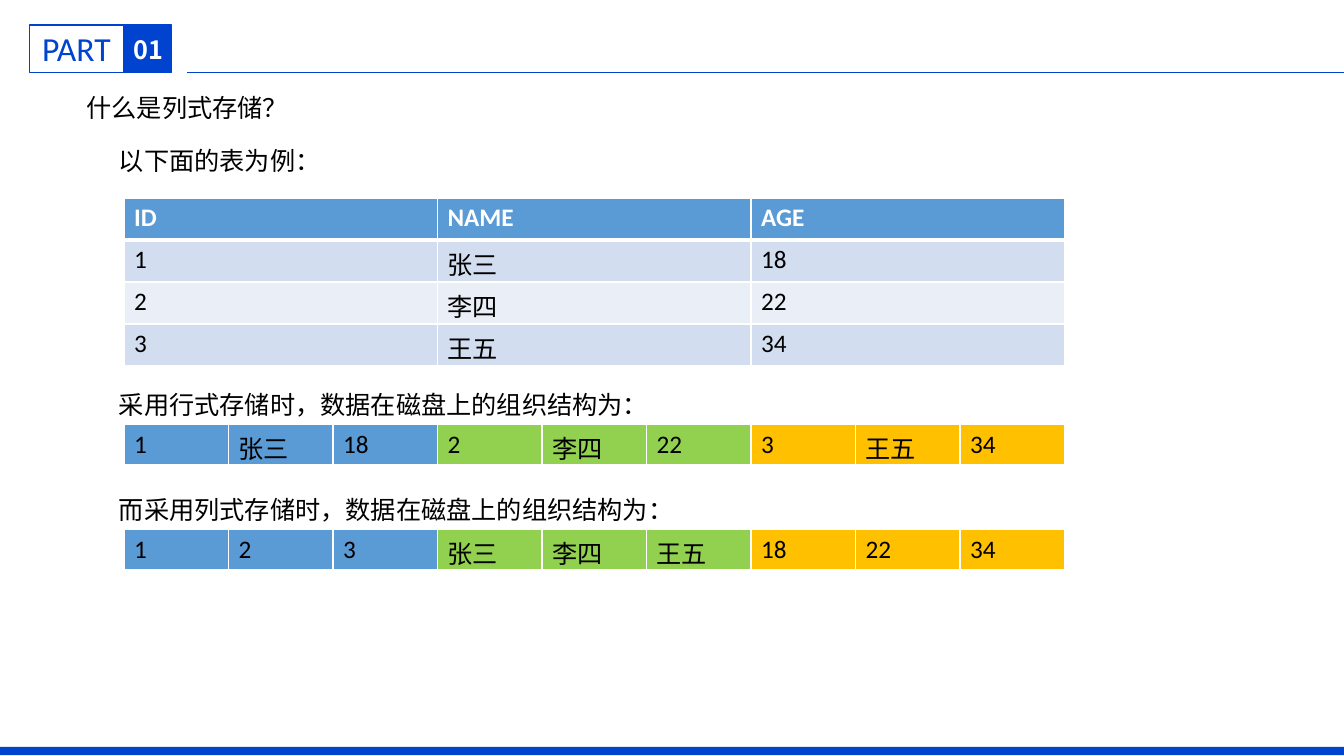
from dataclasses import dataclass
from itertools import chain

from lxml import etree
from pptx import Presentation
from pptx.dml.color import RGBColor
from pptx.enum.shapes import MSO_CONNECTOR, MSO_SHAPE
from pptx.enum.text import MSO_AUTO_SIZE
from pptx.oxml.ns import qn
from pptx.util import Pt

RECT = MSO_SHAPE.RECTANGLE
STRAIGHT = MSO_CONNECTOR.STRAIGHT
GROW = MSO_AUTO_SIZE.SHAPE_TO_FIT_TEXT

BLUE, WHITE, BLACK = "0043CF", "FFFFFF", "000000"
HEAD = "5B9BD5"
BANDS = ["D2DEEF", "EAEFF7"]
HUES = [HEAD, "92D050", "FFC000"]
WIDE, HIGH = 960, 540
LEFT, SPAN, ROW = 88.6, 671.8, 30


@dataclass
class Box:
    x: float
    y: float
    w: float
    h: float
    fill: str | None = None
    line: str | None = None


@dataclass
class Label:
    text: str
    x: float
    y: float
    w: float
    h: float = 28.8
    size: float = 18
    color: str = BLACK
    font: str = "Calibri"
    bold: bool = False
    wrap: bool = True


@dataclass
class Cell:
    text: str
    fill: str
    color: str = BLACK
    bold: bool = False
    base: float = 1


def rgb(code: str) -> RGBColor:
    return RGBColor.from_string(code)


def style(frame, size: float, color: str, font: str, bold: bool) -> None:
    for run in frame.paragraphs[0].runs:
        run.font.size = Pt(size)
        run.font.name = font
        run.font.bold = bold
        run.font.color.rgb = rgb(color)


def draw_box(slide, box: Box) -> None:
    shape = slide.shapes.add_shape(RECT, Pt(box.x), Pt(box.y), Pt(box.w), Pt(box.h))
    shape.shadow.inherit = False
    if box.fill:
        shape.fill.solid()
        shape.fill.fore_color.rgb = rgb(box.fill)
    else:
        shape.fill.background()
    if box.line:
        shape.line.color.rgb = rgb(box.line)
        shape.line.width = Pt(1)
    else:
        shape.line.fill.background()


def draw_rule(slide, x: float, y: float, end: float) -> None:
    rule = slide.shapes.add_connector(STRAIGHT, Pt(x), Pt(y), Pt(end), Pt(y))
    rule.line.color.rgb = rgb(BLUE)
    rule.line.width = Pt(0.5)
    etree.SubElement(rule._element.spPr, qn("a:effectLst"))


def draw_label(slide, label: Label) -> None:
    box = slide.shapes.add_textbox(Pt(label.x), Pt(label.y), Pt(label.w), Pt(label.h))
    frame = box.text_frame
    frame.text = label.text
    frame.word_wrap = label.wrap
    frame.auto_size = GROW
    style(frame, label.size, label.color, label.font, label.bold)


def edge(cell, side: str, width: float) -> None:
    line = etree.SubElement(cell._tc.get_or_add_tcPr(), qn(f"a:ln{side}"), w=str(Pt(width)))
    fill = etree.SubElement(line, qn("a:solidFill"))
    etree.SubElement(fill, qn("a:srgbClr"), val=WHITE)


def draw_table(slide, top: float, rows: list[list[Cell]]) -> None:
    count = len(rows[0])
    frame = slide.shapes.add_table(
        len(rows), count, Pt(LEFT), Pt(top), Pt(SPAN), Pt(ROW * len(rows)))
    table = frame.table
    table.first_row = False
    table.horz_banding = False
    for col in table.columns:
        col.width = Pt(SPAN / count)
    for i, row in enumerate(rows):
        table.rows[i].height = Pt(ROW)
        for j, item in enumerate(row):
            cell = table.cell(i, j)
            cell.text_frame.text = item.text
            style(cell.text_frame, 18, item.color, "Calibri", item.bold)
            over = rows[i - 1][j].base if i else 1
            for side, width in zip("LRTB", (1, 1, over, item.base)):
                edge(cell, side, width)
            cell.fill.solid()
            cell.fill.fore_color.rgb = rgb(item.fill)


def strip(groups: list) -> list[list[Cell]]:
    return [list(chain.from_iterable(
        [Cell(text, hue, base=3) for text in group]
        for group, hue in zip(groups, HUES)))]


BOXES = [
    Box(20.9, 18, 67.7, 33.8, line=BLUE),
    Box(88.6, 18, 33.8, 33.8, BLUE, BLUE),
    Box(0, 533.5, WIDE, 5.8, BLUE),
]
LABELS = [
    Label("PART", 23, 16.6, 64.1, 36, 24, BLUE, wrap=False),
    Label("01", 88.6, 20.9, 39.6, color=WHITE, font="Noto Sans CJK SC", bold=True),
    Label("什么是列式存储？", 54.7, 62.6, 158.4, wrap=False),
    Label("以下面的表为例：", 77.8, 100.1, 200.2),
    Label("采用行式存储时，数据在磁盘上的组织结构为：", 77.8, 274.3, 588.2),
    Label("而采用列式存储时，数据在磁盘上的组织结构为：", 77.8, 349.2, 627.1),
]
NAMES = ["ID", "NAME", "AGE"]
DATA = [["1", "张三", "18"], ["2", "李四", "22"], ["3", "王五", "34"]]


def main() -> None:
    deck = Presentation()
    deck.slide_width, deck.slide_height = Pt(WIDE), Pt(HIGH)
    slide = deck.slides.add_slide(deck.slide_layouts[6])
    for box in BOXES:
        draw_box(slide, box)
    draw_rule(slide, 133.9, 51.4, WIDE)
    for label in LABELS:
        draw_label(slide, label)
    head = [Cell(name, HEAD, WHITE, True, 3) for name in NAMES]
    body = [[Cell(text, BANDS[i % 2]) for text in row] for i, row in enumerate(DATA)]
    draw_table(slide, 141.4, [head, *body])
    draw_table(slide, 303.1, strip(DATA))
    draw_table(slide, 378, strip(list(zip(*DATA))))
    deck.save("out.pptx")


if __name__ == "__main__":
    main()
